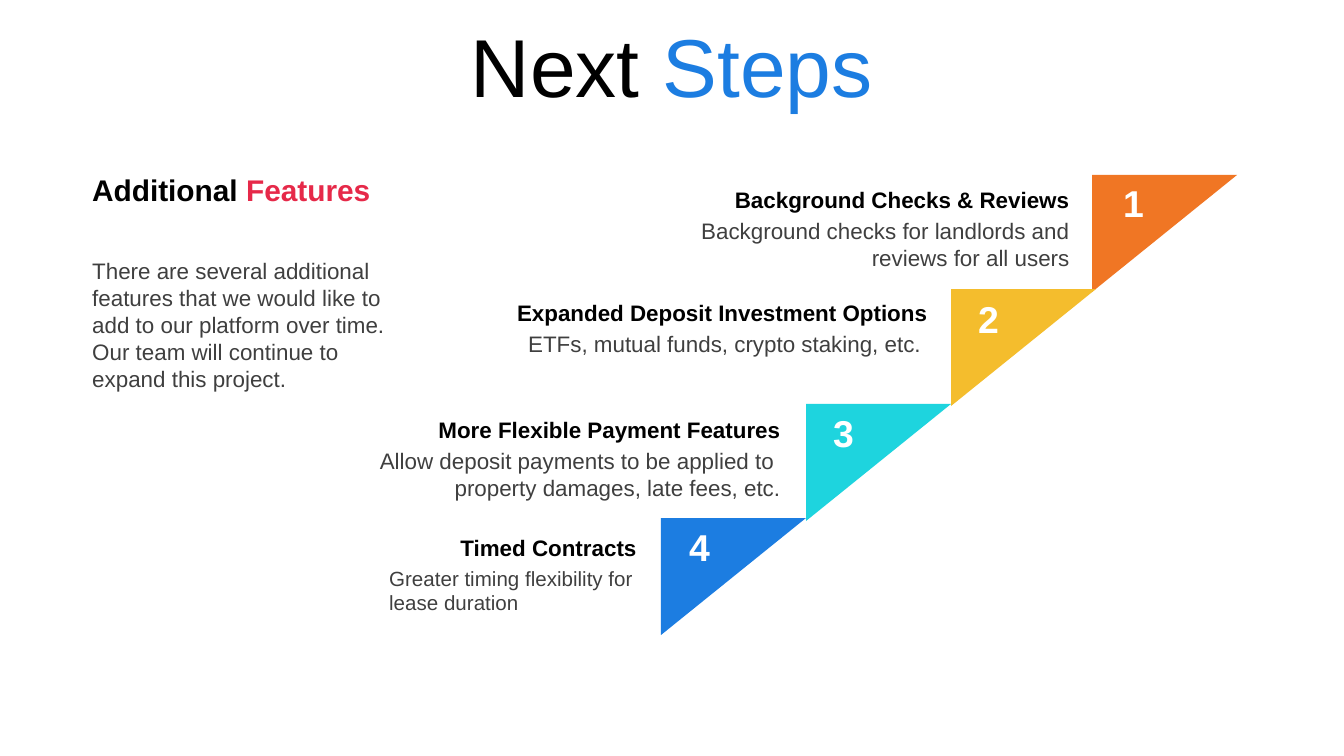
import pptx
import pptx.util
import pptx.dml.color
import pptx.enum.shapes
import pptx.enum.text

SIZE = (1344, 756)
TITLE = [("Next", "black"), (" Steps", "blue")]
HEAD = [("Additional ", "black"), ("Features", "red")]
INTRO = ("There are several additional features that we would like to add to "
         "our platform over time. Our team will continue to expand this project.")

STEPS = [
    dict(head="Background Checks & Reviews",
         note="Background checks for landlords and reviews for all users",
         color="orange", tip=(1092, 175), num=(1099, 180),
         text=(665, 180, 418), rows=2),
    dict(head="Expanded Deposit Investment Options",
         note="ETFs, mutual funds, crypto staking, etc. ",
         color="gold", tip=(951, 289), num=(954, 296),
         text=(481, 293, 460), rows=1),
    dict(head="More Flexible Payment Features",
         note="Allow deposit payments to be applied to \vproperty damages, late fees, etc.",
         color="cyan", tip=(806, 404), num=(809, 410),
         text=(355, 410, 439), rows=2),
    dict(head="Timed Contracts",
         note="Greater timing flexibility for lease duration",
         color="blue", tip=(661, 518), num=(665, 524),
         text=(259, 528, 391), rows=2, small=True),
]

THEME = dict(
    font="Arial",
    black="000000", gray="3F3F3F", white="FFFFFF", red="E62949",
    orange="F07624", gold="F4BD2D", cyan="1ED4DE", blue="1C7DE1",
    title=44, lead=16, num=20, body=12, small=11,
)

ALIGN = pptx.enum.text.PP_ALIGN
MIDDLE = pptx.enum.text.MSO_ANCHOR.MIDDLE
WIDE, TALL = 145, 117
DROP = 31
SMALL = 274


def px(*nums):
    return [pptx.util.Emu(round(n * 914400 / 134.4)) for n in nums]


def rgb(name):
    return pptx.dml.color.RGBColor.from_string(THEME[name])


def write(shape, text, size, color="black", bold=False, align=ALIGN.LEFT):
    frame = shape.text_frame
    frame.word_wrap = True
    frame.auto_size = pptx.enum.text.MSO_AUTO_SIZE.NONE
    para = frame.paragraphs[0]
    para.alignment = align
    font = para.font
    font.name, font.size, font.bold = THEME["font"], pptx.util.Pt(THEME[size]), bold
    if isinstance(text, str):
        para.text = text
        font.color.rgb = rgb(color)
    else:
        for part, tint in text:
            run = para.add_run()
            run.text = part
            run.font.color.rgb = rgb(tint)
    return frame


def wedge(shapes, step):
    x, y = step["tip"]
    gap = (WIDE - TALL) / 2
    kind = pptx.enum.shapes.MSO_SHAPE.RIGHT_TRIANGLE
    shape = shapes.add_shape(kind, *px(x + gap, y - gap, TALL, WIDE))
    shape.rotation = 90
    shape.shadow.inherit = False
    shape.fill.solid()
    shape.fill.fore_color.rgb = rgb(step["color"])
    shape.line.fill.background()


def label(shapes, step):
    group = shapes.add_group_shape().shapes
    x, y, wide = step["text"]
    tall = 13 + 27 * step["rows"]
    if step.get("small"):
        box = (x + wide - SMALL, y + DROP, SMALL, tall)
        size, align = "small", ALIGN.LEFT
    else:
        box = (x, y + DROP, wide, tall)
        size, align = "body", ALIGN.RIGHT
    write(group.add_textbox(*px(*box)), step["note"], size, "gray", align=align)
    write(group.add_textbox(*px(x, y, wide, 40)), step["head"], "body",
          bold=True, align=ALIGN.RIGHT)


def number(shapes, step, text):
    box = shapes.add_textbox(*px(*step["num"], 69, 46))
    frame = write(box, text, "num", "white", True, ALIGN.CENTER)
    frame.vertical_anchor = MIDDLE
    frame.margin_top = frame.margin_bottom = 0


def main():
    deck = pptx.Presentation()
    deck.slide_width, deck.slide_height = px(*SIZE)
    slide = deck.slides.add_slide(deck.slide_layouts[5])
    shapes = slide.shapes

    title = shapes.title
    title.left, title.top, title.width, title.height = px(0, 0, SIZE[0], 130)
    write(title, TITLE, "title", align=ALIGN.CENTER).vertical_anchor = MIDDLE

    for step in STEPS:
        wedge(shapes, step)
    for step in STEPS:
        label(shapes, step)
    for i, step in enumerate(STEPS, 1):
        number(shapes, step, str(i))

    write(shapes.add_textbox(*px(79, 165, 328, 50)), HEAD, "lead", bold=True)
    write(shapes.add_textbox(*px(79, 251, 328, 149)), INTRO, "body", "gray")
    deck.save("out.pptx")


if __name__ == "__main__":
    main()
